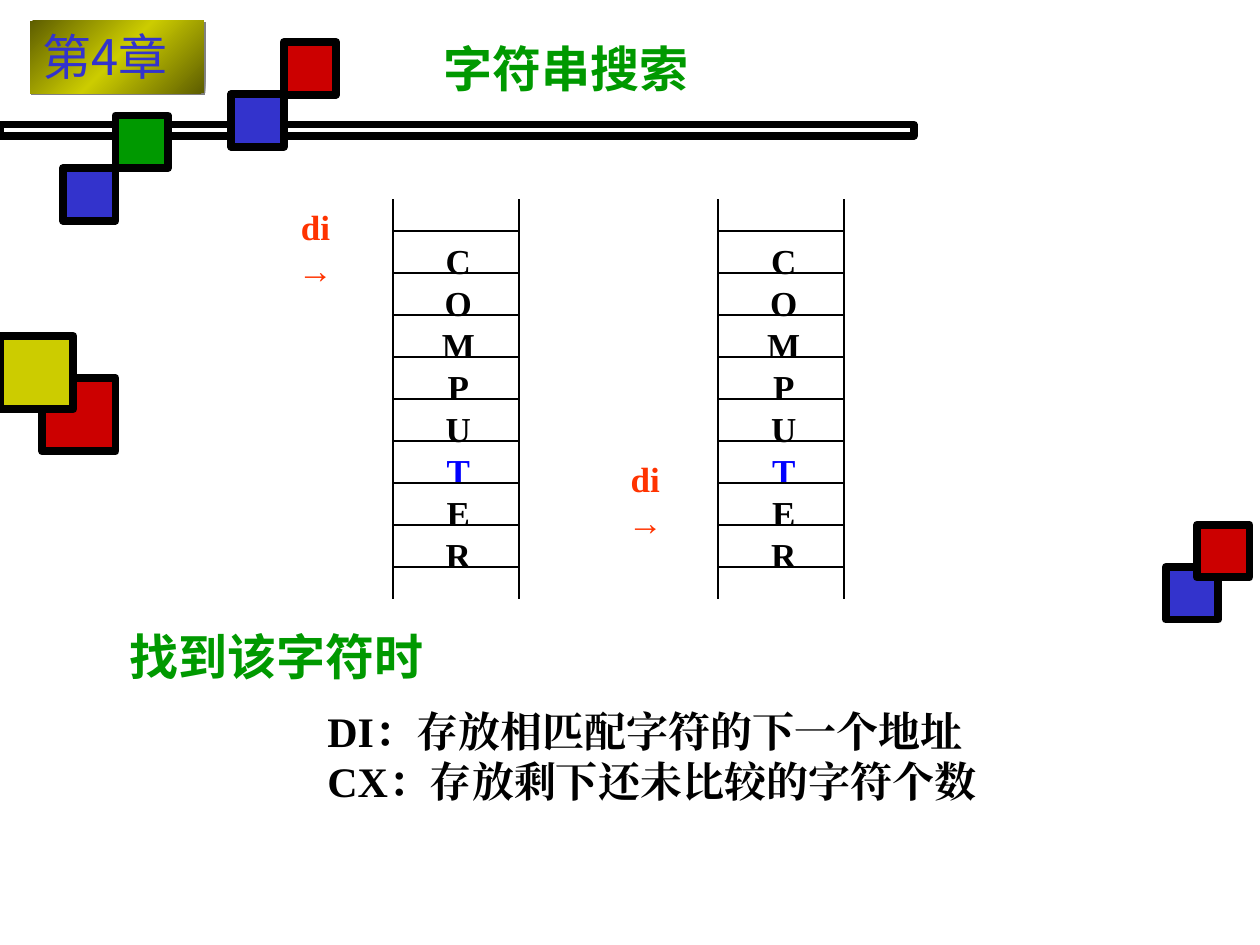
from pptx import Presentation
from pptx import util as u
from pptx.dml.color import RGBColor
from pptx.enum import shapes, text
from pptx.oxml import parse_xml
from pptx.oxml.ns import nsdecls, qn
from lxml import etree

# Content
HUE = {"ink": "000000", "blue": "3333CC", "red": "CC0000", "green": "009900",
       "gold": "CCCC00", "dark": "5E5E00", "gray": "808080",
       "hit": "0000FF", "mark": "FF3300"}
WORD, HIT = "COMPUTER", "T"
MARK = "di →"
NOTES = ["DI：存放相匹配字符的下一个地址", "CX：存放剩下还未比较的字符个数"]
# left edge of each column, then left and top of its pointer
COLS = [(7.92, 5.41, 4.44), (14.48, 12.06, 9.52)]
# left, top, side, colour
TILES = [
    (23.5, 11.43, 1.06, "blue"), (24.13, 10.58, 1.06, "red"),
    (4.66, 1.9, 1.06, "blue"), (1.27, 3.39, 1.06, "blue"),
    (2.33, 2.33, 1.06, "green"), (5.72, 0.85, 1.06, "red"),
    (0.85, 7.62, 1.48, "red"), (0, 6.77, 1.48, "gold"),
]
# Text formats: font, East Asian font, size, colour, bold
TIMES, SANS_SC, SANS_JP = "Times New Roman", "Noto Sans CJK SC", "Noto Sans CJK JP"
HEAD = (SANS_SC, SANS_SC, 28, "green", True)
BADGE = (SANS_JP, SANS_JP, 28, "blue", False)
BODY = (TIMES, TIMES, 24, "ink", True)
CELL = (TIMES, TIMES, 20, "ink", True)
FOUND = (TIMES, TIMES, 20, "hit", True)
POINT = (TIMES, TIMES, 20, "mark", True)
MID, LEFT = text.PP_ALIGN.CENTER, text.PP_ALIGN.LEFT

# Column grid
TOP, WIDE, ROW, TAIL = 4.66, 2.54, 2.54 / 3, 0.64

deck = Presentation()
deck.slide_width, deck.slide_height = u.Cm(25.4), u.Cm(19.05)
slide = deck.slides.add_slide(deck.slide_layouts[6])


def rgb(name):
    return RGBColor.from_string(HUE[name])


def rect(x, y, w, h, fill=None, line=None):
    box = slide.shapes.add_shape(shapes.MSO_SHAPE.RECTANGLE, *map(u.Cm, (x, y, w, h)))
    box.shadow.inherit = False
    if fill:
        box.fill.solid()
        box.fill.fore_color.rgb = rgb(fill)
    else:
        box.fill.background()
    if line:
        box.line.color.rgb = rgb("ink")
        box.line.width = u.Pt(line)
    else:
        box.line.fill.background()
    return box


def rule(x, y, end):
    line = slide.shapes.add_connector(shapes.MSO_CONNECTOR.STRAIGHT, *map(u.Cm, (x, y, x, end)))
    line.line.color.rgb = rgb("ink")
    line.line.width = u.Pt(1)
    etree.SubElement(line._element.spPr, qn("a:effectLst"))


def write(box, lines, look, align=LEFT, wrap=True, mid=True):
    face, east, size, hue, bold = look
    frame = box.text_frame
    frame.word_wrap = wrap
    frame.vertical_anchor = text.MSO_ANCHOR.MIDDLE if mid else text.MSO_ANCHOR.TOP
    for i, line in enumerate(lines):
        para = frame.add_paragraph() if i else frame.paragraphs[0]
        para.alignment = align
        run = para.add_run()
        run.text = line
        for key, val in {"name": face, "size": u.Pt(size), "bold": bold}.items():
            setattr(run.font, key, val)
        run.font.color.rgb = rgb(hue)
        etree.SubElement(run._r.get_or_add_rPr(), qn("a:ea"), typeface=east)


def label(x, y, w, h, lines, look, **form):
    box = slide.shapes.add_textbox(*map(u.Cm, (x, y, w, h)))
    write(box, lines, look, **form)


# Title bar and coloured squares
rect(0, 2.51, 18.42, 0.23, line=4.5)
for x, y, side, hue in TILES:
    rect(x, y, side, side, hue, 4.5)

# Chapter badge with gradient and shadow
badge = rect(0.61, 0.42, 3.5, 1.46)
prop = badge._element.spPr
stops = "".join(f'<a:gs pos="{at}"><a:srgbClr val="{HUE[hue]}"/></a:gs>'
                for at, hue in [(0, "dark"), (50000, "gold"), (100000, "dark")])
prop.replace(prop.find(qn("a:noFill")), parse_xml(
    f'<a:gradFill {nsdecls("a")}><a:gsLst>{stops}</a:gsLst><a:lin ang="2700000"/></a:gradFill>'))
prop.replace(prop.find(qn("a:effectLst")), parse_xml(
    f'<a:effectLst {nsdecls("a")}><a:outerShdw dist="17780" dir="2700000">'
    f'<a:srgbClr val="{HUE["gray"]}"/></a:outerShdw></a:effectLst>'))
write(badge, ["第4章"], BADGE, wrap=False, mid=False)

# Title
label(8.69, 0.2, 16.71, 2.34, ["字符串搜索"], HEAD)

# Memory columns with their pointers
foot = TOP + ROW * len(WORD)
for left, px, py in COLS:
    for i, char in enumerate(WORD):
        y = TOP + i * ROW
        rect(left, y, WIDE, ROW, line=1)
        label(left + 0.05, y + 0.04, WIDE, 1.12, [char],
              FOUND if char == HIT else CELL, align=MID)
    for x in (left, left + WIDE):
        rule(x, TOP, TOP - TAIL)
        rule(x, foot, foot + TAIL)
    label(px, py, 1.9, 1.12, [MARK], POINT, align=MID)

# Explanation
label(6.35, 13.59, 13.77, 3.3, NOTES, BODY)
label(2.36, 12.5, 6.43, 1.45, ["找到该字符时"], HEAD, align=MID, wrap=False, mid=False)

deck.save("out.pptx")
